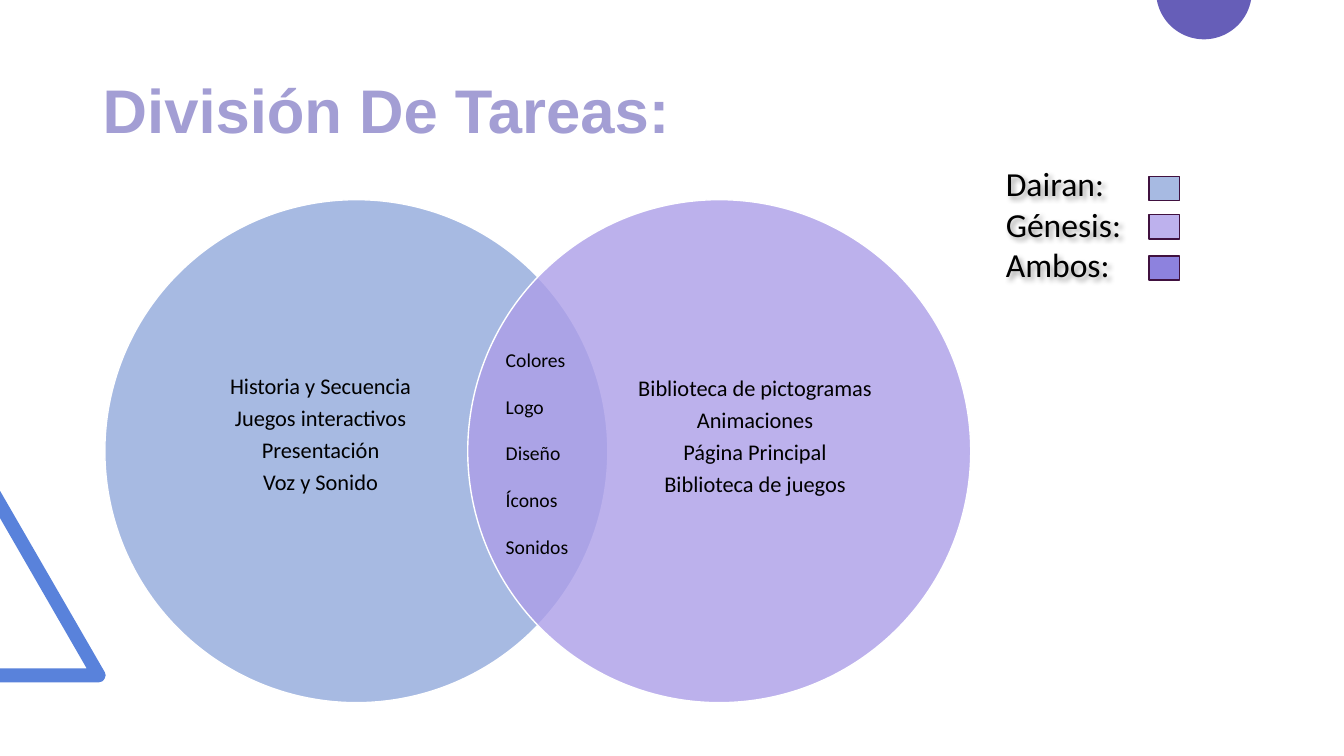
import math
from dataclasses import dataclass

import pptx
import pptx.dml.color
import pptx.enum.shapes
import pptx.enum.text
import pptx.oxml
import pptx.oxml.ns
import pptx.util
from lxml import etree

Pt = pptx.util.Pt
RGBColor = pptx.dml.color.RGBColor
MSO_SHAPE = pptx.enum.shapes.MSO_SHAPE
PP_ALIGN = pptx.enum.text.PP_ALIGN
MSO_ANCHOR = pptx.enum.text.MSO_ANCHOR
qn = pptx.oxml.ns.qn

BLACK = RGBColor(0x00, 0x00, 0x00)
WHITE = RGBColor(0xFF, 0xFF, 0xFF)
LILAC = RGBColor(0xA3, 0x9E, 0xD4)
PURPLE = RGBColor(0x66, 0x5E, 0xB8)
TRIANGLE_BLUE = RGBColor(0x59, 0x82, 0xDB)
CIRCLE_BLUE = RGBColor(0x51, 0x76, 0xC7)
CIRCLE_LILAC = RGBColor(0xAC, 0x9E, 0xE8)
KEY_BLUE = RGBColor(0xA7, 0xBA, 0xE2)
KEY_LILAC = RGBColor(0xBD, 0xB1, 0xED)
KEY_VIOLET = RGBColor(0x8D, 0x82, 0xDE)
KEY_BORDER = RGBColor(0x40, 0x11, 0x3F)

CIRCLE_TOP = 142.6
CIRCLE_SIZE = 359.3


@dataclass(frozen=True)
class Circle:
    left: float
    color: RGBColor
    opacity: int
    text_left: float
    text_bottom_inset: float
    tasks: tuple[str, ...]


@dataclass(frozen=True)
class KeyEntry:
    name: str
    color: RGBColor
    top: float


CIRCLES = (
    Circle(74.9, CIRCLE_BLUE, 50, 125.3, 23,
           ("Historia y Secuencia", "Juegos interactivos", "Presentación", "Voz y Sonido")),
    Circle(334.1, CIRCLE_LILAC, 80, 435.6, 20,
           ("Biblioteca de pictogramas", "Animaciones", "Página Principal",
            "Biblioteca de juegos")),
)
SHARED_TASKS = ("Colores", "Logo", "Diseño", "Íconos", "Sonidos")
KEY = (
    KeyEntry("Dairan:", KEY_BLUE, 126),
    KeyEntry("Génesis:", KEY_LILAC, 153.4),
    KeyEntry("Ambos:", KEY_VIOLET, 182.9),
)
TRIANGLE = ((0, 487.4), (0, 477.4), (61.9, 477.4), (0, 370.1), (0, 350.6), (74.9, 480.2),
            (75.5, 482.4), (74.7, 485), (73, 486.8), (70.6, 487.4))


def place(box, left: float, top: float, width: float, height: float) -> None:
    box.left, box.top, box.width, box.height = Pt(left), Pt(top), Pt(width), Pt(height)


def set_insets(frame, left: float, top: float, right: float, bottom: float) -> None:
    frame.margin_left, frame.margin_top = Pt(left), Pt(top)
    frame.margin_right, frame.margin_bottom = Pt(right), Pt(bottom)


def write_lines(frame, lines: tuple[str, ...], size: float, gap: float = 0) -> None:
    frame.word_wrap = True
    frame.text = "\n".join(lines)
    for para in frame.paragraphs:
        para.space_before = Pt(0)
        para.space_after = Pt(gap)
        for span in para.runs:
            span.font.name = "Calibri"
            span.font.size = Pt(size)
            span.font.color.rgb = BLACK


def draw_outline(page, points: list[tuple[float, float]], color: RGBColor) -> None:
    corners = [(Pt(x), Pt(y)) for x, y in points]
    builder = page.shapes.build_freeform(*corners[0])
    builder.add_line_segments(corners[1:], close=True)
    outline = builder.convert_to_shape()
    outline.shadow.inherit = False
    outline.fill.solid()
    outline.fill.fore_color.rgb = color
    outline.line.fill.background()


def draw_shape(page, kind, left: float, top: float, width: float, height: float,
               color: RGBColor, border: RGBColor):
    shape = page.shapes.add_shape(kind, Pt(left), Pt(top), Pt(width), Pt(height))
    shape.shadow.inherit = False
    shape.fill.solid()
    shape.fill.fore_color.rgb = color
    shape.line.color.rgb = border
    shape.line.width = Pt(1)
    return shape


def draw_circle(page, circle: Circle, box) -> None:
    disc = draw_shape(page, MSO_SHAPE.OVAL, circle.left, CIRCLE_TOP, CIRCLE_SIZE, CIRCLE_SIZE,
                      circle.color, WHITE)
    color_element = disc.element.spPr.find(qn("a:solidFill")).find(qn("a:srgbClr"))
    etree.SubElement(color_element, qn("a:alpha"), val=str(circle.opacity * 1000))

    place(box, circle.text_left, 185, 207.4, 275)
    frame = box.text_frame
    write_lines(frame, circle.tasks, 16, 5.6)
    set_insets(frame, 0, 0, 0, circle.text_bottom_inset)
    frame.auto_size = pptx.enum.text.MSO_AUTO_SIZE.NONE
    frame.vertical_anchor = MSO_ANCHOR.MIDDLE
    for para in frame.paragraphs:
        para.alignment = PP_ALIGN.CENTER
        para.line_spacing = 0.9
        properties = para._p.get_or_add_pPr()
        properties.set("marL", "0")
        properties.set("indent", "0")
        etree.SubElement(properties, qn("a:buNone"))
    frame.paragraphs[-1].space_after = Pt(0)
    page.shapes.element.append(box.element)


def draw_key(page) -> None:
    box = page.shapes.add_textbox(Pt(711.4), Pt(113), Pt(158.4), Pt(94.3))
    write_lines(box.text_frame, tuple(entry.name for entry in KEY), 24)
    box.shadow.inherit = False
    effects = box.element.spPr.find(qn("a:effectLst"))
    shadow = etree.SubElement(effects, qn("a:outerShdw"), blurRad="50800", dist="38100",
                              dir="2700000", algn="tl", rotWithShape="0")
    shade = etree.SubElement(shadow, qn("a:srgbClr"), val=str(BLACK))
    etree.SubElement(shade, qn("a:alpha"), val="40000")
    for entry in KEY:
        draw_shape(page, MSO_SHAPE.RECTANGLE, 820.8, entry.top, 21.6, 17.3,
                   entry.color, KEY_BORDER)


def draw_title(page) -> None:
    title = page.shapes.title
    place(title, 66.2, 28.8, 828, 104.4)
    frame = title.text_frame
    frame.text = "División De Tareas:"
    frame.vertical_anchor = MSO_ANCHOR.MIDDLE
    para = frame.paragraphs[0]
    para.alignment = PP_ALIGN.LEFT
    para.line_spacing = 0.9
    font = para.runs[0].font
    font.name = "Arial"
    font.size = Pt(44)
    font.bold = True
    font.color.rgb = LILAC


def main() -> None:
    deck = pptx.Presentation()
    deck.slide_width, deck.slide_height = Pt(960), Pt(540)
    page = deck.slides.add_slide(deck.slide_layouts[3])

    draw_outline(page, TRIANGLE, TRIANGLE_BLUE)
    radius, center_x, center_y = 34.2, 860, -6.1
    start = math.asin(-center_y / radius)
    angles = [start + (math.pi - 2 * start) * step / 40 for step in range(41)]
    draw_outline(page, [(center_x + radius * math.cos(angle),
                         center_y + radius * math.sin(angle)) for angle in angles], PURPLE)

    draw_title(page)
    task_boxes = [page.placeholders[1], page.placeholders[2]]
    for circle, box in zip(CIRCLES, task_boxes):
        draw_circle(page, circle, box)
    draw_key(page)

    shared_box = page.shapes.add_textbox(Pt(354.2), Pt(228.2), Pt(79.2), Pt(227.5))
    write_lines(shared_box.text_frame, SHARED_TASKS, 14, 16.5)
    set_insets(shared_box.text_frame, 7.2, 20.4, 7.2, 3.6)
    deck.save("out.pptx")


if __name__ == "__main__":
    main()
